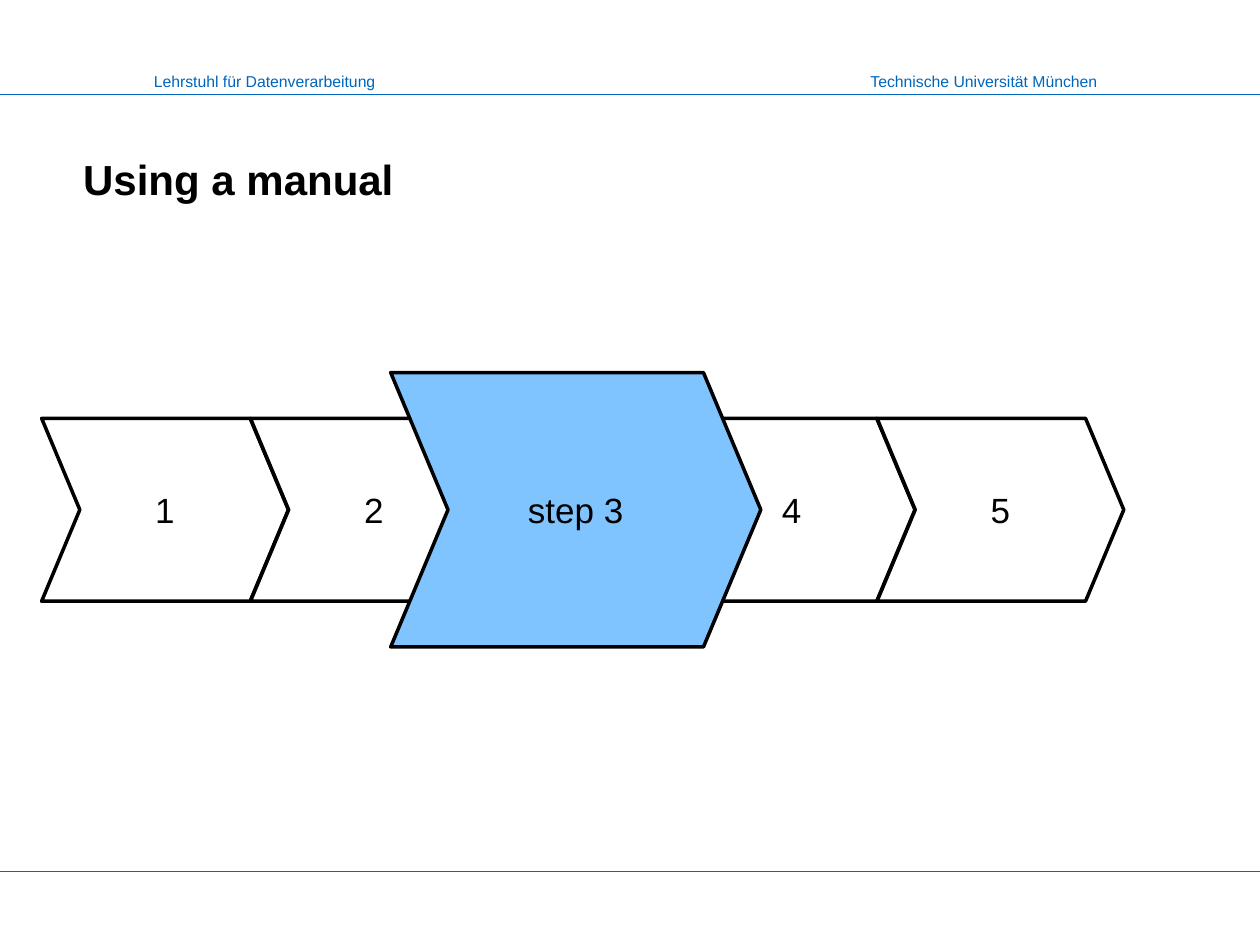
from pptx import Presentation
from pptx.dml.color import RGBColor
from pptx.enum.shapes import MSO_CONNECTOR, MSO_SHAPE
from pptx.enum.text import MSO_ANCHOR, PP_ALIGN
from pptx.oxml.ns import qn
from pptx.util import Pt
from lxml.etree import SubElement

BLACK = RGBColor(0x00, 0x00, 0x00)
WHITE = RGBColor(0xFF, 0xFF, 0xFF)
RULE_BLUE = RGBColor(0x00, 0x65, 0xBD)
STEP_BLUE = RGBColor(0x7F, 0xC3, 0xFF)

HEADER_FORMAT = {"name": "Arial", "size": Pt(9), "bold": False}
TITLE_FORMAT = {"name": "Arial", "size": Pt(24), "bold": True}
STEP_FORMAT = {"name": "Arial", "size": Pt(20), "bold": False}

FIRST_LEFT, STEP_PITCH = 23.8, 119.35
STEP_WIDTH, STEP_HEIGHT = 141, 104.5
ROW_MIDDLE = 291.3
ACTIVE_CENTER, ACTIVE_SCALE = 329, 1.5


def write_text(frame, text, font_format, color, align, anchor):
    """Put one formatted paragraph into a text frame."""
    frame.text = text
    frame.vertical_anchor = anchor
    paragraph = frame.paragraphs[0]
    paragraph.alignment = align
    font = paragraph.runs[0].font
    for attribute, value in font_format.items():
        setattr(font, attribute, value)
    font.color.rgb = color


def add_rule(slide, y):
    """Draw a thin line across the whole slide."""
    rule = slide.shapes.add_connector(
        MSO_CONNECTOR.STRAIGHT, Pt(0), Pt(y), Pt(720), Pt(y))
    rule.line.color.rgb = RULE_BLUE
    rule.line.width = Pt(0.75)
    SubElement(rule._element.spPr, qn("a:effectLst"))


def add_header(slide, text, left, width):
    """Add a small label above the top rule."""
    header = slide.shapes.add_textbox(Pt(left), Pt(37.4), Pt(width), Pt(18))
    header.text_frame.word_wrap = False
    write_text(header.text_frame, text, HEADER_FORMAT, RULE_BLUE,
               PP_ALIGN.LEFT, MSO_ANCHOR.TOP)


def set_title(slide, text):
    """Place and format the title placeholder."""
    title = slide.shapes.title
    title.left, title.top = Pt(40.3), Pt(72)
    title.width, title.height = Pt(640), Pt(48.2)
    write_text(title.text_frame, text, TITLE_FORMAT, BLACK,
               PP_ALIGN.LEFT, MSO_ANCHOR.BOTTOM)


def add_step(slide, text, center, fill, scale=1):
    """Add a chevron centred on the row of steps."""
    width, height = STEP_WIDTH * scale, STEP_HEIGHT * scale
    step = slide.shapes.add_shape(
        MSO_SHAPE.CHEVRON, Pt(center - width / 2),
        Pt(ROW_MIDDLE - height / 2), Pt(width), Pt(height))
    step.adjustments[0] = 0.209
    step.shadow.inherit = False
    step.fill.solid()
    step.fill.fore_color.rgb = fill
    step.line.color.rgb = BLACK
    step.line.width = Pt(2)
    write_text(step.text_frame, text, STEP_FORMAT, BLACK,
               PP_ALIGN.CENTER, MSO_ANCHOR.MIDDLE)


def main():
    """Build the slide and save it."""
    deck = Presentation()
    deck.slide_width, deck.slide_height = Pt(720), Pt(540)
    slide = deck.slides.add_slide(deck.slide_layouts[5])
    for y in (54, 498):
        add_rule(slide, y)
    add_header(slide, "Technische Universität München", 490.3, 147.6)
    add_header(slide, "Lehrstuhl für Datenverarbeitung", 80.8, 142.6)
    set_title(slide, "Using a manual")
    for number in (1, 2, 4, 5):
        left = FIRST_LEFT + (number - 1) * STEP_PITCH
        add_step(slide, str(number), left + STEP_WIDTH / 2, WHITE)
    add_step(slide, "step 3", ACTIVE_CENTER, STEP_BLUE, ACTIVE_SCALE)
    deck.save("out.pptx")


main()
